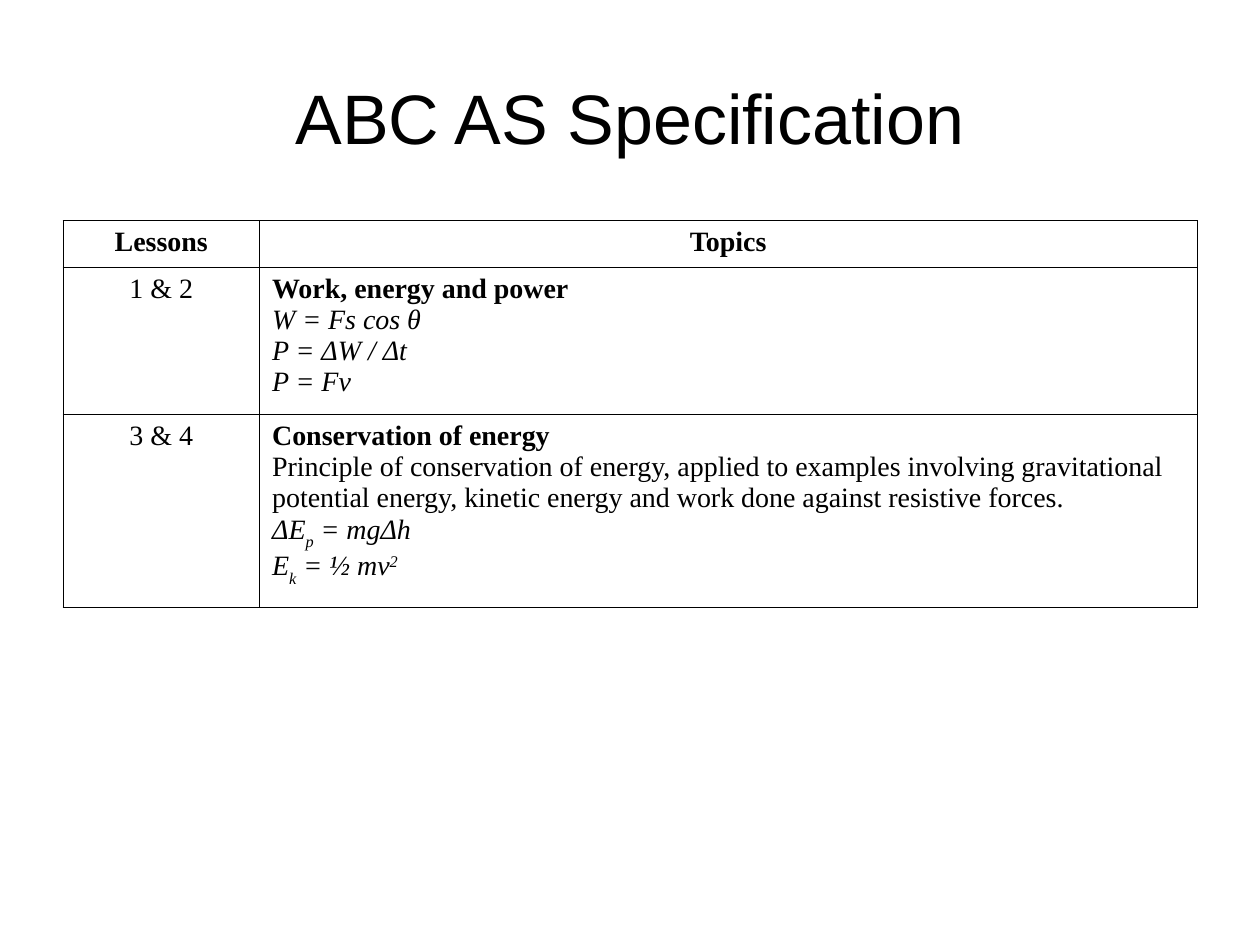
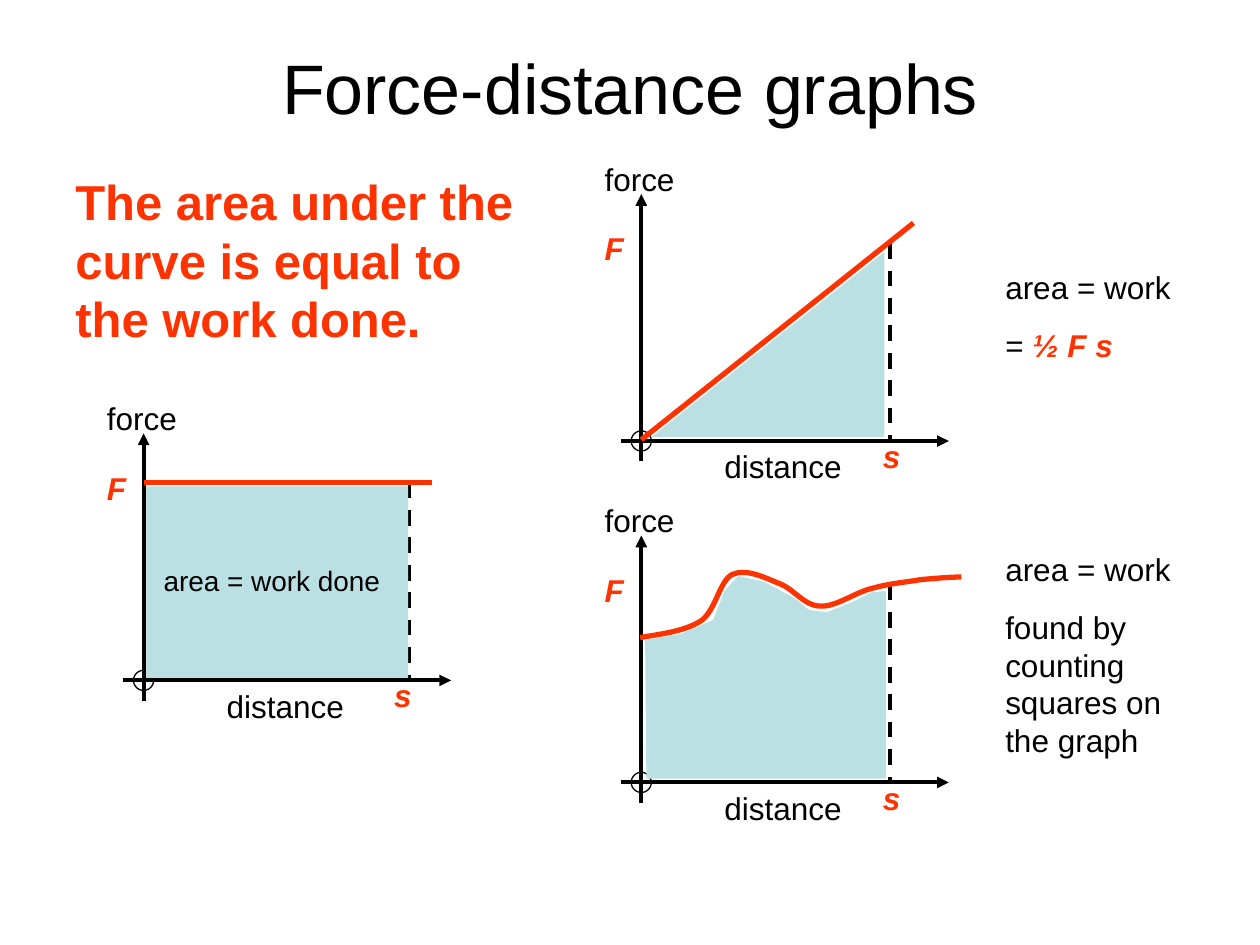
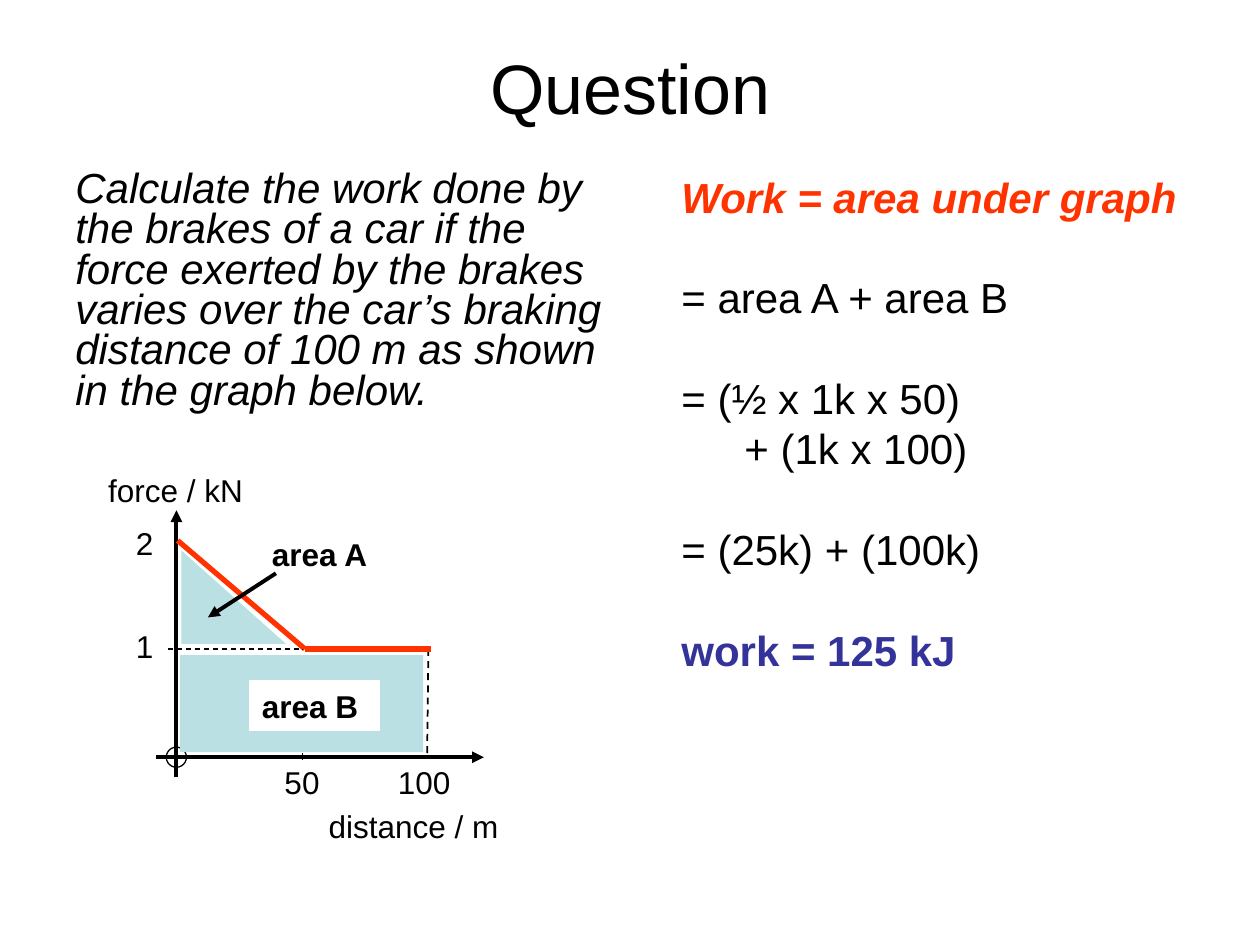
from lxml.etree import SubElement
from pptx import Presentation
from pptx.dml.color import RGBColor
from pptx.enum.dml import MSO_LINE
from pptx.enum.shapes import MSO_CONNECTOR, MSO_SHAPE
from pptx.enum.text import MSO_ANCHOR, PP_ALIGN
from pptx.oxml.ns import qn
from pptx.util import Inches, Pt

BLACK, WHITE, RED, BLUE, AQUA = "000000", "FFFFFF", "FF3300", "333399", "BBE0E3"
SANS, SERIF = "Arial", "Times New Roman"
BOLD, ITALIC = {"bold": True}, {"italic": True}
SUB, SUPER = {"italic": True, "baseline": -30000}, {"italic": True, "baseline": 30000}
KEY = {"bold": True, "italic": True, "color": RED}
LABEL_HEIGHT = 0.4


def rgb(value):
    return RGBColor.from_string(value)


def format_run(run, size, name, color=BLACK, bold=False, italic=False, baseline=0):
    font = run.font
    font.size, font.name, font.bold, font.italic = Pt(size), name, bold, italic
    font.color.rgb = rgb(color)
    if baseline:
        run._r.get_or_add_rPr().set("baseline", str(baseline))


def write(frame, paragraphs, size=18, name=SANS, align=PP_ALIGN.LEFT, spacing=None, gaps=()):
    for index, parts in enumerate(paragraphs):
        paragraph = frame.paragraphs[0] if index == 0 else frame.add_paragraph()
        paragraph.alignment = align
        paragraph.line_spacing = spacing
        paragraph.space_before = Pt(gaps[index] if gaps else 0)
        for text, style in parts:
            run = paragraph.add_run()
            run.text = text
            format_run(run, size, name, **style)


def add_text(shapes, box, paragraphs, anchor=MSO_ANCHOR.TOP, **options):
    shape = shapes.add_textbox(*map(Inches, box))
    shape.text_frame.word_wrap = True
    shape.text_frame.vertical_anchor = anchor
    write(shape.text_frame, paragraphs, **options)


def add_label(shapes, left, top, width, text, style=None, **options):
    add_text(shapes, (left, top, width, LABEL_HEIGHT), [[(text, style or {})]], **options)


def add_title(slide, text, height=0.77):
    add_text(slide.shapes, (0.5, 0.3, 9, height), [[(text, {})]],
             anchor=MSO_ANCHOR.MIDDLE, size=40, align=PP_ALIGN.CENTER)


def add_line(shapes, start, end, color=BLACK, width=2.25, dashed=False, arrow=False):
    line = shapes.add_connector(MSO_CONNECTOR.STRAIGHT, *map(Inches, start + end))
    line.line.color.rgb = rgb(color)
    line.line.width = Pt(width)
    if dashed:
        line.line.dash_style = MSO_LINE.DASH
    if arrow:
        SubElement(line.line._get_or_add_ln(), qn("a:tailEnd"), type="triangle")
    SubElement(line._element.spPr, qn("a:effectLst"))


def paint(shape, fill=None, line=None, width=0.75):
    shape.shadow.inherit = False
    if fill:
        shape.fill.solid()
        shape.fill.fore_color.rgb = rgb(fill)
    else:
        shape.fill.background()
    if line:
        shape.line.color.rgb = rgb(line)
        shape.line.width = Pt(width)
    else:
        shape.line.fill.background()


def add_shape(shapes, kind, box, **colors):
    shape = shapes.add_shape(kind, *map(Inches, box))
    paint(shape, **colors)
    return shape


def add_outline(shapes, points, close, **colors):
    points = [(Inches(x), Inches(y)) for x, y in points]
    builder = shapes.build_freeform(*points[0])
    builder.add_line_segments(points[1:], close=close)
    shape = builder.convert_to_shape()
    paint(shape, **colors)
    return shape


def bend(shape):
    outline = shape._element.xpath(".//a:path")[0]
    segments = outline.findall(qn("a:lnTo"))
    for first in range(0, len(segments), 3):
        curve = SubElement(outline, qn("a:cubicBezTo"))
        for segment in segments[first:first + 3]:
            curve.append(segment[0])
            outline.remove(segment)


def shift(points, left, top):
    return [(left + x, top + y) for x, y in points]


def add_axes(shapes, left, top):
    add_line(shapes, (left + 0.39, top + 2.44), (left + 0.39, top + 0.32), arrow=True)
    add_line(shapes, (left + 0.23, top + 2.28), (left + 2.83, top + 2.28), arrow=True)
    add_shape(shapes, MSO_SHAPE.OVAL, (left + 0.31, top + 2.2, 0.16, 0.16), line=BLACK)


def add_force_graph(slide, left, top, limit=2.36, limit_label=2.21):
    shapes = slide.shapes.add_group_shape().shapes
    add_axes(shapes, left, top)
    add_label(shapes, left, top + 0.55, 0.47, "F", KEY)
    add_label(shapes, left + limit_label, top + 2.2, 0.47, "s", KEY)
    add_line(shapes, (left + limit, top + 0.71), (left + limit, top + 2.28), dashed=True)
    add_label(shapes, left, top, 0.87, "force")
    add_label(shapes, left + 0.95, top + 2.28, 1.18, "distance")
    return shapes


def add_constant_graph(slide, left, top):
    shapes = add_force_graph(slide, left, top, 2.5, 2.28)
    add_line(shapes, (left + 0.39, top + 0.71), (left + 2.68, top + 0.71), RED, 3)
    add_shape(shapes, MSO_SHAPE.RECTANGLE, (left + 0.41, top + 0.74, 2.08, 1.52), fill=AQUA)
    add_label(shapes, left + 0.45, top + 1.3, 1.96, "area = work done", size=16)


def add_rising_graph(slide, left, top):
    shapes = add_force_graph(slide, left, top)
    add_line(shapes, (left + 0.39, top + 2.27), (left + 2.55, top + 0.55), RED, 3)
    triangle = add_shape(shapes, MSO_SHAPE.RIGHT_TRIANGLE,
                         (left + 0.47, top + 0.78, 1.85, 1.47), fill=AQUA)
    triangle._element.spPr.xfrm.set("flipH", "1")


def add_varying_graph(slide, left, top):
    curve = [(0.38, 1.13), (0.56, 1.1), (0.73, 1.08), (0.86, 1), (0.98, 0.92), (1.01, 0.68),
             (1.11, 0.63), (1.22, 0.58), (1.36, 0.65), (1.48, 0.7), (1.6, 0.74), (1.68, 0.88),
             (1.81, 0.88), (1.93, 0.89), (2.09, 0.77), (2.22, 0.74), (2.36, 0.7), (2.5, 0.69),
             (2.61, 0.67), (2.73, 0.66), (2.83, 0.65), (2.93, 0.65)]
    area = [(0.43, 2.25), (0.42, 1.15), (0.71, 1.1), (0.96, 0.99), (1.05, 0.76), (1.16, 0.64),
            (1.37, 0.69), (1.61, 0.82), (1.72, 0.91), (1.86, 0.93), (2.06, 0.85), (2.22, 0.77),
            (2.33, 0.76), (2.33, 2.25)]
    shapes = add_force_graph(slide, left, top)
    bend(add_outline(shapes, shift(curve, left, top), False, line=RED, width=3))
    add_outline(shapes, shift(area, left, top), True, fill=AQUA)


def add_braking_graph(slide, left, top):
    shapes = slide.shapes.add_group_shape().shapes
    add_axes(shapes, left, top)
    knee, end = (left + 1.41, top + 1.42), (left + 2.41, top + 1.42)
    add_line(shapes, (left + 0.4, top + 0.56), knee, RED, 3)
    add_line(shapes, (left + 2.39, top + 1.42), (left + 2.38, top + 2.28), width=1, dashed=True)
    for x, y, width, text in [(-0.25, -0.04, 1.3, "force / kN"), (1.5, 2.63, 1.64, "distance / m"),
                              (-0.03, 0.38, 0.34, "2"), (-0.03, 1.2, 0.34, "1"),
                              (1.15, 2.28, 0.6, "50"), (2.05, 2.28, 0.7, "100")]:
        add_label(shapes, left + x, top + y, width, text)
    add_line(shapes, knee, end, RED, 3)
    add_line(shapes, (left + 0.32, top + 1.42), (left + 1.39, top + 1.42), width=0.75, dashed=True)
    add_line(shapes, (left + 1.39, top + 2.3), (left + 1.39, top + 1.42), width=1, dashed=True)

    add_shape(shapes, MSO_SHAPE.RECTANGLE, (left + 0.42, top + 1.47, 1.93, 0.77), fill=AQUA)
    plate = add_shape(shapes, MSO_SHAPE.RECTANGLE, (left + 0.97, top + 1.67, 1.03, LABEL_HEIGHT),
                      fill=WHITE, line=WHITE)
    plate.text_frame.vertical_anchor = MSO_ANCHOR.TOP
    write(plate.text_frame, [[("area B", BOLD)]])
    add_shape(shapes, MSO_SHAPE.RIGHT_TRIANGLE, (left + 0.43, top + 0.64, 0.83, 0.74), fill=AQUA)
    add_label(shapes, left + 1.05, top + 0.47, 0.97, "area A", BOLD)
    add_line(shapes, (left + 1.18, top + 0.82), (left + 0.64, top + 1.17), arrow=True)


def add_cell_borders(cell):
    properties = cell._tc.get_or_add_tcPr()
    for index, side in enumerate(("a:lnL", "a:lnR", "a:lnT", "a:lnB")):
        border = properties.makeelement(qn(side), {"w": str(Pt(0.45))})
        fill = SubElement(border, qn("a:solidFill"))
        SubElement(fill, qn("a:srgbClr"), val=BLACK)
        properties.insert(index, border)


def add_topic_table(slide, left, top, columns, heights):
    rows = [
        ([[("Lessons", BOLD)]], [[("Topics", BOLD)]]),
        ([[("1 & 2", {})]],
         [[("Work, energy and power", BOLD)], [("W = Fs cos θ", ITALIC)],
          [("P = ΔW / Δt", ITALIC)], [("P = Fv", ITALIC)]]),
        ([[("3 & 4", {})]],
         [[("Conservation of energy", BOLD)],
          [("Principle of conservation of energy, applied to examples involving gravitational "
            "potential energy, kinetic energy and work done against resistive forces.", {})],
          [("ΔE", ITALIC), ("p", SUB), (" = mgΔh", ITALIC)],
          [("E", ITALIC), ("k", SUB), (" = ½ mv", ITALIC), ("2", SUPER)]]),
    ]
    box = (left, top, sum(columns), sum(heights))
    table = slide.shapes.add_table(len(rows), len(columns), *map(Inches, box)).table
    table.first_row = table.horz_banding = False
    for column, width in zip(table.columns, columns):
        column.width = Inches(width)
    for r, (row, height) in enumerate(zip(rows, heights)):
        table.rows[r].height = Inches(height)
        for c, paragraphs in enumerate(row):
            cell = table.cell(r, c)
            cell.fill.background()
            add_cell_borders(cell)
            align = PP_ALIGN.LEFT if r and c else PP_ALIGN.CENTER
            write(cell.text_frame, paragraphs, size=16, name=SERIF, align=align)


def build_specification(slide):
    add_title(slide, "ABC AS Specification", 1.25)
    add_topic_table(slide, 0.5, 1.75, (1.56, 7.44), (0.37, 1.17, 1.53))


def build_graphs(slide):
    add_title(slide, "Force-distance graphs")
    rule = "The area under the curve is equal to the work done."
    add_text(slide.shapes, (0.5, 1.31, 3.75, 1.57),
             [[(rule, {"bold": True, "color": RED})]], size=28)
    add_constant_graph(slide, 0.75, 3.12)
    add_rising_graph(slide, 4.7, 1.22)
    area = [("area = work", {})]
    add_text(slide.shapes, (7.88, 2.08, 1.55, 0.86),
             [area, [("= ", {}), ("½ F s", KEY)]], gaps=(0, 11.2))
    add_text(slide.shapes, (7.88, 4.32, 1.78, 1.76),
             [area, [("found by counting squares on the graph", {})]], gaps=(0, 11.2))
    add_varying_graph(slide, 4.7, 3.93)


def build_question(slide):
    add_title(slide, "Question")
    question = ("Calculate the work done by the brakes of a car if the force exerted by the brakes "
                "varies over the car’s braking distance of 100 m as shown in the graph below.")
    add_text(slide.shapes, (0.5, 1.31, 4.47, 2.23), [[(question, ITALIC)]], size=24, spacing=0.8)
    steps = [("Work = area under graph", KEY), ("= area A + area B", {}), ("= (½ x 1k x 50)", {}),
             ("\t+ (1k x 100)", {}), ("= (25k) + (100k)", {}),
             ("work = 125 kJ", {"bold": True, "color": BLUE})]
    add_text(slide.shapes, (5.31, 1.31, 4.17, 4.95), [[step] for step in steps],
             size=24, gaps=(0, 28.7, 28.7, 0, 28.7, 28.7))
    add_braking_graph(slide, 1.01, 3.73)


def main():
    presentation = Presentation()
    presentation.slide_width, presentation.slide_height = Inches(10), Inches(7.5)
    for build in (build_specification, build_graphs, build_question):
        build(presentation.slides.add_slide(presentation.slide_layouts[6]))
    presentation.save("out.pptx")


if __name__ == "__main__":
    main()
